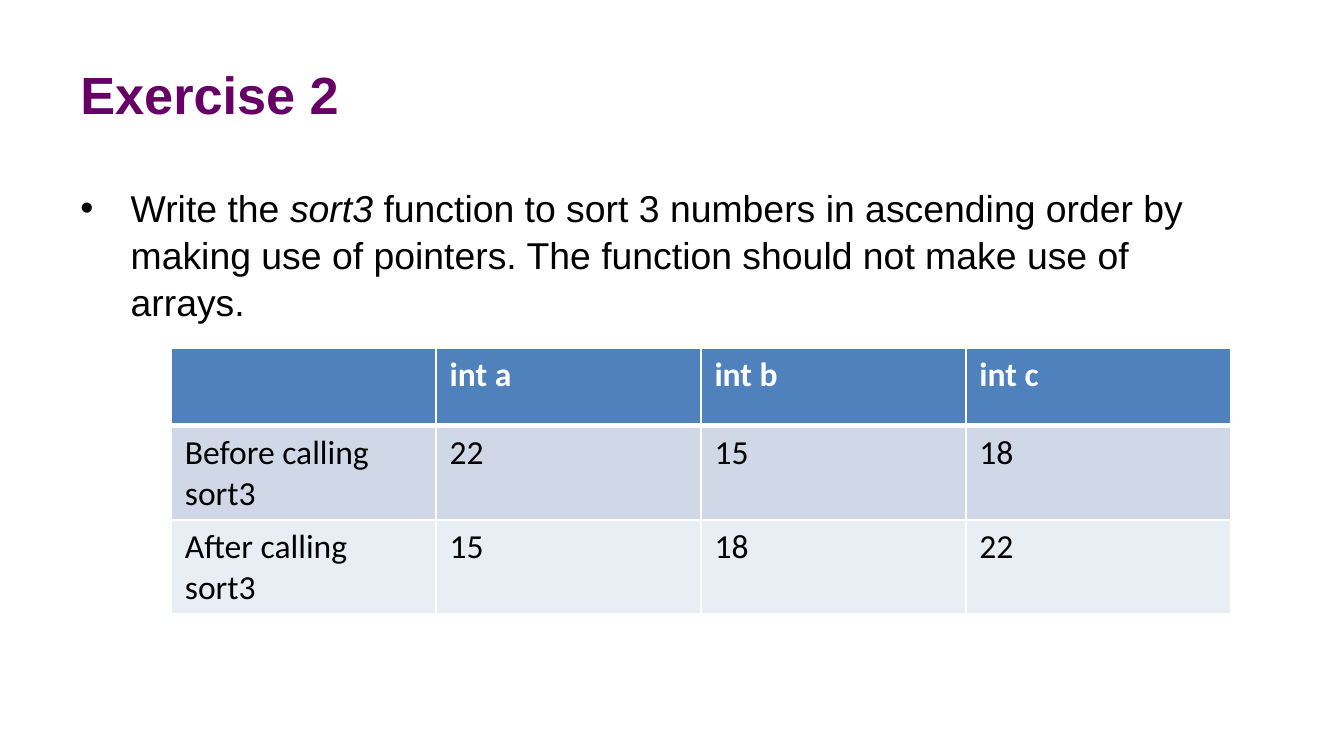
from dataclasses import dataclass

from lxml.etree import SubElement
from pptx import Presentation
from pptx.dml.color import RGBColor
from pptx.enum.text import MSO_ANCHOR
from pptx.oxml.ns import qn
from pptx.util import Cm, Pt


@dataclass(frozen=True)
class Theme:
    title_color: str = "660066"
    text_color: str = "000000"
    light: str = "FFFFFF"
    header_fill: str = "4F81BD"
    row_fills: tuple = ("D0D8E8", "E9EDF4")
    text_font: str = "Arial"
    table_font: str = "Calibri"
    title_size: int = 28
    body_size: int = 20
    table_size: int = 18
    border: int = 1
    header_border: int = 3


theme = Theme()


def style_font(font, name, size, color, bold=False, italic=False):
    font.name, font.size = name, Pt(size)
    font.bold, font.italic = bold, italic
    font.color.rgb = RGBColor.from_string(color)


def add_border(cell, side, width):
    """Draw one cell edge; side is L, R, T or B."""
    properties = cell._tc.get_or_add_tcPr()
    line = SubElement(properties, qn(f"a:ln{side}"), w=str(Pt(width)))
    fill = SubElement(line, qn("a:solidFill"))
    SubElement(fill, qn("a:srgbClr"), val=theme.light)


presentation = Presentation()
presentation.slide_width, presentation.slide_height = Cm(25.4), Cm(14.29)
slide = presentation.slides.add_slide(presentation.slide_layouts[6])

# Title
title = slide.shapes.add_textbox(Cm(1.27), Cm(0.58), Cm(22.86), Cm(2.39))
title.text_frame.word_wrap = True
title.text_frame.vertical_anchor = MSO_ANCHOR.MIDDLE
title.text_frame.text = "Exercise 2"
style_font(title.text_frame.paragraphs[0].runs[0].font, theme.text_font,
           theme.title_size, theme.title_color, bold=True)

# Task
task = slide.shapes.add_textbox(Cm(1.27), Cm(3.33), Cm(21.79), Cm(9.58))
task.text_frame.word_wrap = True
paragraph = task.text_frame.paragraphs[0]
paragraph.space_before = Pt(4)
paragraph.line_spacing = 1.05
for text, italic in (
    ("Write the ", False),
    ("sort3", True),
    (" function to sort 3 numbers in ascending order by making use of "
     "pointers. The function should not make use of arrays.", False),
):
    run = paragraph.add_run()
    run.text = text
    style_font(run.font, theme.text_font, theme.body_size, theme.text_color,
               italic=italic)
bullet_indent = Cm(0.95)
properties = paragraph._p.get_or_add_pPr()
properties.set("marL", str(bullet_indent))
properties.set("indent", str(-bullet_indent))
SubElement(properties, qn("a:buFont"), typeface=theme.text_font)
SubElement(properties, qn("a:buChar"), char="•")

# Values before and after the call
rows = (
    ("", "int a", "int b", "int c"),
    ("Before calling sort3", "22", "15", "18"),
    ("After calling sort3", "15", "18", "22"),
)
row_height = Cm(1.47)
table = slide.shapes.add_table(len(rows), len(rows[0]), Cm(3.24), Cm(6.58),
                               Cm(20.02), row_height * len(rows)).table
for row_index, values in enumerate(rows):
    is_header = row_index == 0
    fill = theme.header_fill if is_header else theme.row_fills[row_index - 1]
    color = theme.light if is_header else theme.text_color
    widths = {
        "L": theme.border,
        "R": theme.border,
        "T": theme.header_border if row_index == 1 else theme.border,
        "B": theme.header_border if is_header else theme.border,
    }
    for column_index, value in enumerate(values):
        cell = table.cell(row_index, column_index)
        cell.text = value
        style_font(cell.text_frame.paragraphs[0].font, theme.table_font,
                   theme.table_size, color, bold=is_header)
        for run in cell.text_frame.paragraphs[0].runs:
            style_font(run.font, theme.table_font, theme.table_size, color,
                       bold=is_header)
        for side, width in widths.items():
            add_border(cell, side, width)
        cell.fill.solid()
        cell.fill.fore_color.rgb = RGBColor.from_string(fill)

presentation.save("out.pptx")
